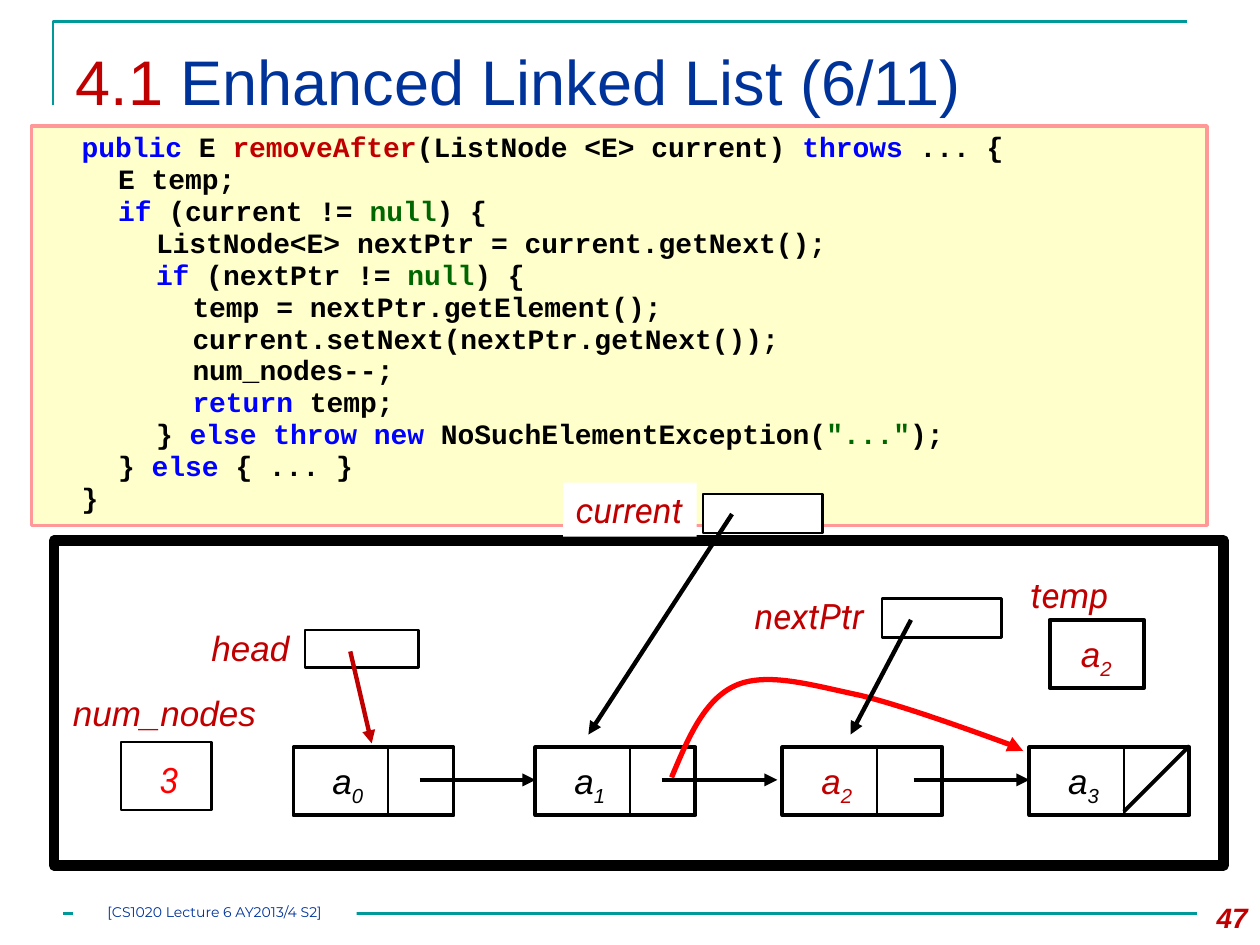
import pptx
import pptx.util
import pptx.dml.color
import pptx.enum.shapes
import pptx.enum.text
import pptx.oxml
import pptx.oxml.ns
from pptx.util import Inches

COLORS = {
    "teal": "009999", "navy": "003399", "dark": "C00000", "black": "000000",
    "white": "FFFFFF", "cream": "FFFFCC", "pink": "FF9999", "red": "FF0000",
    "blue": "0000FF", "green": "006600",
}

TITLE = [("4.1 ", "dark"), ("Enhanced Linked List (6/11)", "navy")]
# Each line: depth, then runs of text and colour
CODE = [
    (1, [("public", "blue"), (" E ", "black"), ("removeAfter", "dark"),
         ("(ListNode <E> current) ", "black"), ("throws", "blue"), (" ... {", "black")]),
    (2, [("E temp;", "black")]),
    (2, [("if ", "blue"), ("(current != ", "black"), ("null", "green"), (") {", "black")]),
    (3, [("ListNode<E> nextPtr = current.getNext();", "black")]),
    (3, [("if", "blue"), (" (nextPtr != ", "black"), ("null", "green"), (") {", "black")]),
    (4, [("temp = nextPtr.getElement();", "black")]),
    (4, [("current.setNext(nextPtr.getNext());", "black")]),
    (4, [("num_nodes--;", "black")]),
    (4, [("return", "blue"), (" temp;", "black")]),
    (3, [("} ", "black"), ("else throw new ", "blue"),
         ("NoSuchElementException(", "black"), ('"..."', "green"), (");", "black")]),
    (2, [("} ", "black"), ("else ", "blue"), ("{ ... }", "black")]),
    (1, [("}", "black")]),
]
TABS = [0.3, 0.59, 0.89, 1.18]

# Left edge, index, colour
NODES = [(2.33, "0", "black"), (4.25, "1", "black"), (6.21, "2", "dark"), (8.17, "3", "black")]
NODE_TOP, NODE_W, NODE_H, SPLIT = 5.93, 1.27, 0.54, 0.75
LINKS = [3.33, 5.25, 7.25]

# Box, outline width
CELLS = [
    ((5.58, 3.92, 0.95, 0.31), 1.5),
    ((7, 4.75, 0.95, 0.31), 1.5),
    ((2.42, 5, 0.9, 0.3), 1.5),
    ((0.96, 5.89, 0.72, 0.54), 1.5),
    ((8.33, 4.92, 0.75, 0.54), 2.25),
]
# Text, box, font, colour, fill
LABELS = [
    ("current", (4.47, 3.83, 1.06, 0.43), "Roboto", "dark", "white"),
    ("nextPtr", (5.89, 4.67, 1.09, 0.44), "Roboto", "dark", "white"),
    ("temp", (8.08, 4.5, 0.82, 0.44), "Roboto", "dark", None),
    ("head", (1.58, 4.92, 0.82, 0.43), "Arial", "dark", None),
    ("num_nodes", (0.48, 5.44, 1.67, 0.44), "Arial", "dark", "white"),
    ("3", (1.17, 5.97, 0.36, 0.44), "Roboto", "red", "white"),
]
# Start, end, colour
POINTERS = [
    ((2.78, 5.17), (2.95, 5.9), "dark"),
    ((5.81, 4.08), (4.67, 5.83), "black"),
    ((7.23, 4.92), (6.75, 5.83), "black"),
]
CURVE = [
    (5.33, 6.17), (5.46, 5.86), (5.59, 5.55), (5.84, 5.44), (6.09, 5.33),
    (6.45, 5.44), (6.83, 5.52), (7.2, 5.61), (8.07, 5.93), (8.07, 5.93), (8.12, 5.96),
]

deck = pptx.Presentation()
deck.slide_width, deck.slide_height = Inches(10), Inches(7.5)
slide = deck.slides.add_slide(deck.slide_layouts[5])
shapes = slide.shapes


def rgb(name):
    return pptx.dml.color.RGBColor.from_string(COLORS[name])


def node(tag, **attrs):
    item = pptx.oxml.parse_xml(f"<a:{tag} {pptx.oxml.ns.nsdecls('a')}/>")
    for key, value in attrs.items():
        item.set(key, value)
    return item


def stroke(shape, color, width, arrow=False):
    shape.line.color.rgb = rgb(color)
    shape.line.width = pptx.util.Pt(width)
    if arrow:
        shape.line._get_or_add_ln().append(node("tailEnd", type="triangle"))


def paint(shape, fill):
    if fill:
        shape.fill.solid()
        shape.fill.fore_color.rgb = rgb(fill)
    else:
        shape.fill.background()


def rect(box, color, width, fill=None):
    kind = pptx.enum.shapes.MSO_SHAPE.RECTANGLE
    shape = shapes.add_shape(kind, *map(Inches, box))
    shape.shadow.inherit = False
    paint(shape, fill)
    stroke(shape, color, width)
    return shape


def line(start, end, color, width, arrow=False):
    kind = pptx.enum.shapes.MSO_CONNECTOR.STRAIGHT
    shape = shapes.add_connector(kind, *map(Inches, start + end))
    stroke(shape, color, width, arrow)
    shape._element.spPr.append(node("effectLst"))


def trace(points, color, width, arrow=False):
    """Draw an open outline through the points."""
    spots = [(Inches(x), Inches(y)) for x, y in points]
    build = shapes.build_freeform(*spots[0])
    build.add_line_segments(spots[1:], close=False)
    shape = build.convert_to_shape()
    shape.shadow.inherit = False
    shape.fill.background()
    stroke(shape, color, width, arrow)
    return shape


def bend(shape):
    """Turn each full set of three segments into one cubic curve."""
    steps = shape._element.findall(".//" + pptx.oxml.ns.qn("a:lnTo"))
    for first in range(0, len(steps) - 2, 3):
        cubic = node("cubicBezTo")
        steps[first].addprevious(cubic)
        for step in steps[first:first + 3]:
            cubic.append(step[0])
            step.getparent().remove(step)


def write(para, runs, font, size, bold=None, slant=None):
    for text, color in runs:
        run = para.add_run()
        run.text = text
        run.font.name, run.font.size = font, pptx.util.Pt(size)
        run.font.bold, run.font.italic = bold, slant
        run.font.color.rgb = rgb(color)


def label(box, runs, font, size=20, fill=None, bold=None, slant=True):
    shape = shapes.add_textbox(*map(Inches, box))
    paint(shape, fill)
    shape.text_frame.word_wrap = False
    write(shape.text_frame.paragraphs[0], runs, font, size, bold, slant)
    return shape.text_frame


def item(left, top, index, color):
    """Write the letter a with an index below the line."""
    frame = label((left, top, 0.46, 0.44), [("a", color), (index, color)], "Arial")
    frame.paragraphs[0].runs[1].font._element.set("baseline", "-25000")


# Page furniture and title
trace([(0.42, 0.83), (0.42, 0.17), (9.42, 0.17)], "teal", 1.5)
line((0.5, 7.25), (9.5, 7.25), "teal", 1.5)
title = shapes.title
title.left, title.top, title.width, title.height = map(Inches, (0.5, 0.25, 9, 0.86))
frame = title.text_frame
frame.vertical_anchor = pptx.enum.text.MSO_ANCHOR.MIDDLE
frame.margin_bottom = Inches(0.13)
frame.paragraphs[0].alignment = pptx.enum.text.PP_ALIGN.LEFT
write(frame.paragraphs[0], TITLE, "Arial", 36)

frame = label((9.33, 7.1, 0.67, 0.4), [("47", "dark")], "Arial", 16, bold=True)
frame.word_wrap = True
frame.paragraphs[0].alignment = pptx.enum.text.PP_ALIGN.RIGHT

frame = label((0.58, 7.17, 2.25, 0.17), [("[CS1020 Lecture 6 AY2013/4 S2]", "navy")],
              "Montserrat", 8, "white", slant=None)
frame.word_wrap = True
frame.margin_left = frame.margin_right = frame.margin_top = frame.margin_bottom = 0
frame.paragraphs[0].alignment = pptx.enum.text.PP_ALIGN.CENTER

# Code panel
frame = rect((0.25, 1, 9.33, 3.17), "pink", 2, "cream").text_frame
frame.word_wrap = True
frame.vertical_anchor = pptx.enum.text.MSO_ANCHOR.TOP
for row, (depth, runs) in enumerate(CODE):
    para = frame.add_paragraph() if row else frame.paragraphs[0]
    stops = node("tabLst")
    for stop in TABS:
        stops.append(node("tab", pos=str(Inches(stop)), algn="l"))
    para._p.get_or_add_pPr().append(stops)
    para.alignment = pptx.enum.text.PP_ALIGN.LEFT
    para.line_spacing = 0.95
    write(para, [("\t" * depth, "black")] + runs, "Courier New", 16, bold=True)

# Linked list
rect((0.43, 4.29, 9.28, 2.58), "black", 6)
for box, width in CELLS:
    rect(box, "black", width, "white")
for text, box, font, color, fill in LABELS:
    label(box, [(text, color)], font, fill=fill)
item(8.48, 4.97, "2", "dark")
for left, index, color in NODES:
    rect((left, NODE_TOP, NODE_W, NODE_H), "black", 2.25)
    line((left + SPLIT, NODE_TOP), (left + SPLIT, NODE_TOP + NODE_H), "black", 1.5)
    item(left + 0.21, 5.98, index, color)
line((9.44, 5.92), (8.92, 6.44), "black", 2.25)
for left in LINKS:
    line((left, 6.19), (left + 0.92, 6.19), "black", 2.5, arrow=True)
bend(trace(CURVE, "red", 3, arrow=True))
for start, end, color in POINTERS:
    line(start, end, color, 2.5, arrow=True)

deck.save("out.pptx")
